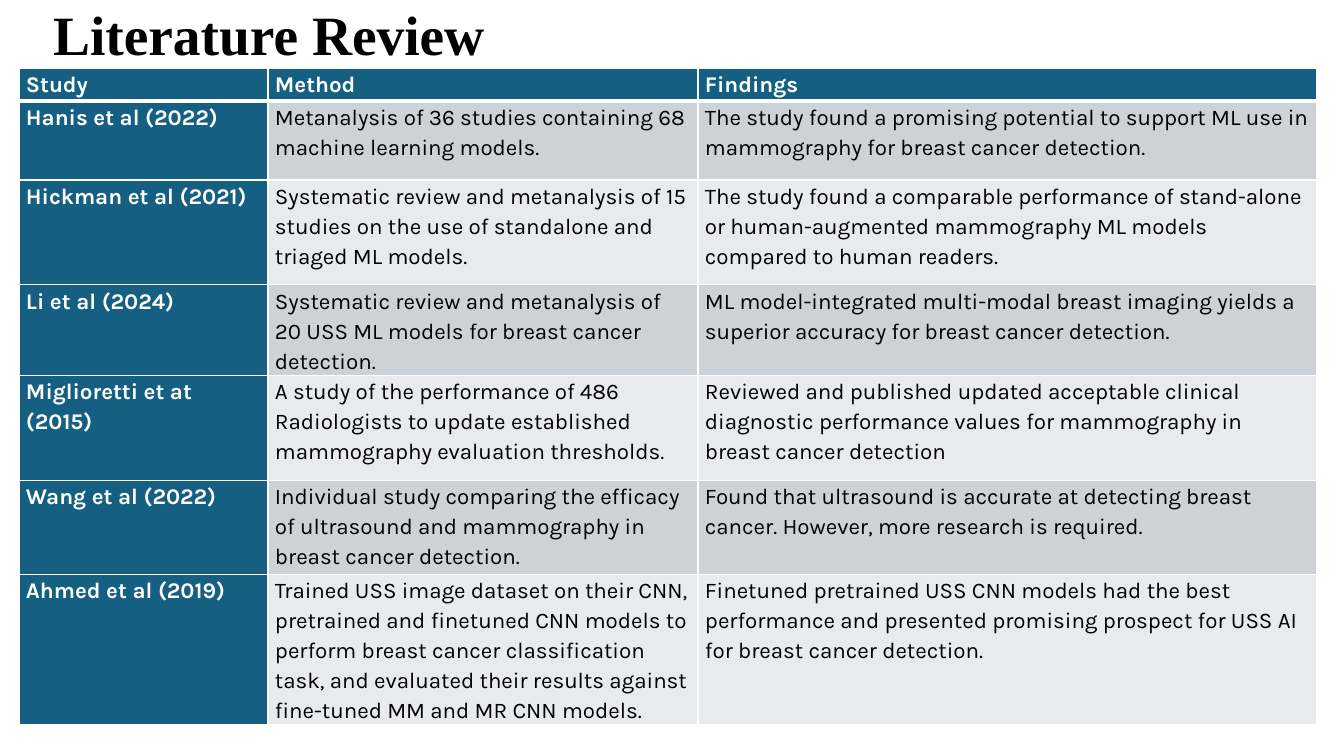
from dataclasses import dataclass

import lxml.etree
import pptx
import pptx.dml.color
import pptx.enum.text
import pptx.oxml
import pptx.oxml.ns
import pptx.util

TITLE = "Literature Review"
HEADER = ("Study", "Method", "Findings")
STUDIES = [
    ("Hanis et al (2022)",
     "Metanalysis of 36 studies containing 68 machine learning models.",
     "The study found a promising potential to support ML use in mammography for breast cancer detection."),
    ("Hickman et al (2021)",
     "Systematic review and metanalysis of 15 studies on the use of standalone and triaged ML models.",
     "The study found a comparable performance of stand-alone or human-augmented mammography ML models "
     "compared to human readers."),
    ("Li et al (2024)",
     "Systematic review and metanalysis of 20 USS ML models for breast cancer detection.",
     "ML model-integrated multi-modal breast imaging yields a superior accuracy for breast cancer detection."),
    ("Miglioretti et at (2015)",
     "A study of the performance of 486 Radiologists to update established mammography evaluation thresholds.",
     "Reviewed and published updated acceptable clinical diagnostic performance values for mammography in "
     "breast cancer detection"),
    ("Wang et al (2022)",
     "Individual study comparing the efficacy of ultrasound and mammography in breast cancer detection.",
     "Found that ultrasound is accurate at detecting breast cancer. However, more research is required."),
    ("Ahmed et al (2019)",
     "Trained USS image dataset on their CNN, pretrained and finetuned CNN models to perform breast cancer "
     "classification task, and evaluated their results against fine-tuned MM and MR CNN models.",
     "Finetuned pretrained USS CNN models had the best performance and presented promising prospect for "
     "USS AI for breast cancer detection."),
]

SLIDE_SIZE = (1344, 756)
TITLE_BOX = (43, 8, 1208, 59)
TABLE_ORIGIN = (19, 68)
COL_WIDTHS = (249, 430, 619)
ROW_HEIGHTS = (33, 79, 105, 79, 105, 94, 94)
CELL_INSET = 7


@dataclass(frozen=True)
class Theme:
    white: str = "FFFFFF"
    black: str = "000000"
    teal: str = "156082"
    bands: tuple = ("CCD2D8", "E8EAED")
    title_font: str = "Times New Roman"
    body_font: str = "Karla"
    title_size: float = 39.6
    body_size: float = 16
    rule: float = 1
    header_rule: float = 3


THEME = Theme()


def px(n):
    return pptx.util.Emu(round(n * 914400 / 100.8))


def rgb(value):
    return pptx.dml.color.RGBColor.from_string(value)


def write(tf, text, *, font, size, color, bold=False, spacing=1.0, after=0):
    p = tf.paragraphs[0]
    p.alignment = pptx.enum.text.PP_ALIGN.LEFT
    p.line_spacing = spacing
    p.space_before = pptx.util.Pt(0)
    p.space_after = pptx.util.Pt(after)
    r = p.add_run()
    r.text = text
    r.font.name = font
    r.font.size = pptx.util.Pt(size)
    r.font.bold = bold
    r.font.color.rgb = rgb(color)


def add_borders(cell, **widths):
    tcPr = cell._tc.get_or_add_tcPr()
    qn = pptx.oxml.ns.qn
    for side in "LRTB":
        width = pptx.util.Pt(widths.get(side, THEME.rule))
        ln = lxml.etree.SubElement(tcPr, qn(f"a:ln{side}"), w=str(width))
        fill = lxml.etree.SubElement(ln, qn("a:solidFill"))
        lxml.etree.SubElement(fill, qn("a:srgbClr"), val=THEME.white)


def add_title(s):
    sp = s.shapes.title
    sp.left, sp.top, sp.width, sp.height = map(px, TITLE_BOX)
    tf = sp.text_frame
    tf.word_wrap = True
    tf.auto_size = pptx.enum.text.MSO_AUTO_SIZE.NONE
    tf.vertical_anchor = pptx.enum.text.MSO_ANCHOR.MIDDLE
    write(tf, TITLE, font=THEME.title_font, size=THEME.title_size,
          color=THEME.black, bold=True, spacing=0.9)


def add_studies(s):
    rows = [HEADER, *STUDIES]
    box = (*TABLE_ORIGIN, sum(COL_WIDTHS), sum(ROW_HEIGHTS))
    table = s.shapes.add_table(len(rows), len(HEADER), *map(px, box)).table
    for column, width in zip(table.columns, COL_WIDTHS):
        column.width = px(width)
    for row, height in zip(table.rows, ROW_HEIGHTS):
        row.height = px(height)
    for i, texts in enumerate(rows):
        for j, text in enumerate(texts):
            cell = table.cell(i, j)
            heading = i == 0 or j == 0
            cell.margin_left = cell.margin_right = px(CELL_INSET)
            cell.margin_top = cell.margin_bottom = 0
            add_borders(cell, B=THEME.header_rule if i == 0 else THEME.rule,
                        T=THEME.header_rule if i == 1 else THEME.rule)
            cell.fill.solid()
            cell.fill.fore_color.rgb = rgb(THEME.teal if heading else THEME.bands[(i - 1) % 2])
            write(cell.text_frame, text, font=THEME.body_font, size=THEME.body_size,
                  color=THEME.white if heading else THEME.black,
                  bold=heading, spacing=1.15, after=8)


def main():
    prs = pptx.Presentation()
    prs.slide_width, prs.slide_height = map(px, SLIDE_SIZE)
    s = prs.slides.add_slide(prs.slide_layouts[5])
    add_title(s)
    add_studies(s)
    prs.save("out.pptx")


if __name__ == "__main__":
    main()
